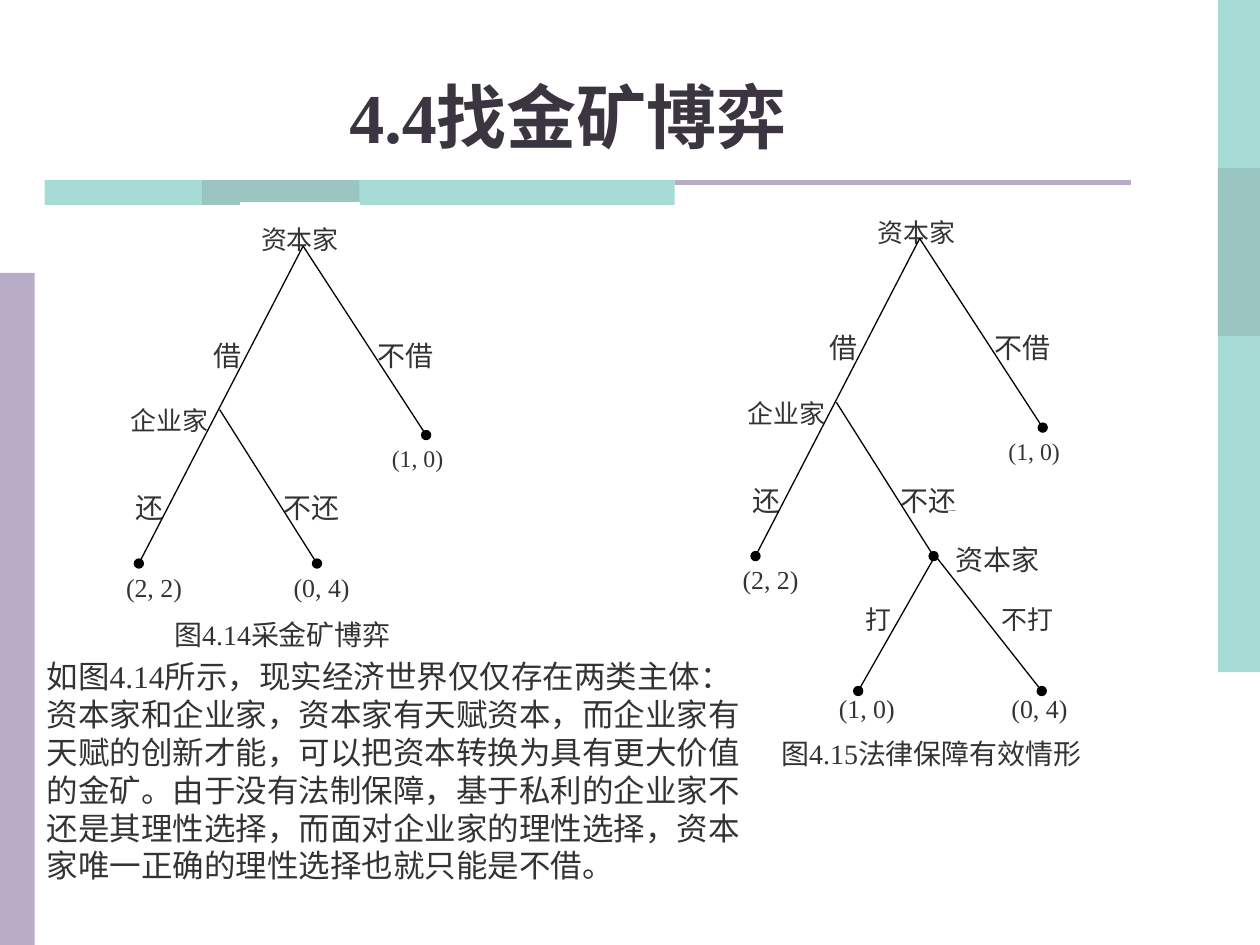
from dataclasses import dataclass

from pptx import Presentation
from pptx.dml.color import RGBColor
from pptx.enum.shapes import MSO_CONNECTOR, MSO_SHAPE
from pptx.enum.text import MSO_ANCHOR, MSO_AUTO_SIZE, PP_ALIGN
from pptx.oxml.ns import qn
from pptx.util import Cm, Pt
from lxml.etree import SubElement


@dataclass(frozen=True)
class Theme:
    teal: str = "51B9AF"
    dark_teal: str = "398D85"
    lilac: str = "B8ACC6"
    paper: str = "FFFFFF"
    ink: str = "333333"
    title_ink: str = "3A3541"
    edge: str = "000000"
    serif: str = "Times New Roman"
    caption_font: str = "TeX Gyre Bonum"
    body_font: str = "DejaVu Sans"
    title_size: float = 40
    body_size: float = 18
    move_size: float = 16
    player_size: float = 14.8
    small_size: float = 13.6
    hairline: float = 0.75


THEME = Theme()
LEFT, CENTER, RIGHT, JUSTIFY = (
    PP_ALIGN.LEFT, PP_ALIGN.CENTER, PP_ALIGN.RIGHT, PP_ALIGN.JUSTIFY)
# Line spacing that goes with each label size
SPACING = {THEME.move_size: 1.8, THEME.player_size: 1.7, THEME.small_size: 1.8}


def color(code):
    return RGBColor.from_string(code)


def add_span(para, text, size, font=THEME.serif, ink=THEME.ink, bold=False):
    span = para.add_run()
    span.text = text
    span.font.size = Pt(size)
    span.font.name = font
    span.font.bold = bold
    span.font.color.rgb = color(ink)


def add_block(canvas, left, top, width, height, fill, opacity=100):
    block = canvas.add_shape(
        MSO_SHAPE.RECTANGLE, Cm(left), Cm(top), Cm(width), Cm(height))
    block.shadow.inherit = False
    block.fill.solid()
    block.fill.fore_color.rgb = color(fill)
    block.line.fill.background()
    if opacity < 100:
        tint = block.fill._xPr.find(qn("a:solidFill")).find(qn("a:srgbClr"))
        SubElement(tint, qn("a:alpha")).set("val", str(opacity * 1000))
    return block


def add_label(canvas, left, top, width, height, text, size, align=CENTER, spacing=None):
    box = add_block(canvas, left, top, width, height, THEME.paper)
    box.line.color.rgb = color(THEME.paper)
    box.line.width = Pt(THEME.hairline)
    frame = box.text_frame
    frame.word_wrap = True
    frame.vertical_anchor = MSO_ANCHOR.TOP
    frame.margin_left = frame.margin_right = frame.margin_top = frame.margin_bottom = 0
    para = frame.paragraphs[0]
    para.alignment = align
    para.line_spacing = spacing or SPACING[size]
    add_span(para, text, size)


def add_branch(canvas, start_x, start_y, end_x, end_y):
    """Draw a game-tree edge with a dot at its far end."""
    edge = canvas.add_connector(
        MSO_CONNECTOR.STRAIGHT, Cm(start_x), Cm(start_y), Cm(end_x), Cm(end_y))
    edge.line.color.rgb = color(THEME.edge)
    edge.line.width = Pt(THEME.hairline)
    SubElement(edge.line._ln, qn("a:tailEnd")).set("type", "oval")
    SubElement(edge._element.spPr, qn("a:effectLst"))


def add_diagram(page, left, top, labels, branches):
    canvas = page.shapes.add_group_shape().shapes
    for x, y, width, height, *style in labels:
        add_label(canvas, left + x, top + y, width, height, *style)
    for x, y, end_x, end_y in branches:
        add_branch(canvas, left + x, top + y, left + end_x, top + end_y)


def add_lending_tree(page, left, top, default_payoff=None):
    move, player = THEME.move_size, THEME.player_size
    labels = [
        (0.1, 5.21, 1.78, 1.35, "还", move, CENTER, 1.9),
        (3.26, 5.21, 1.98, 1.35, "不还", move, CENTER, 1.9),
        (5.59, 2.21, 1.52, 1.17, "不借", move, JUSTIFY),
        (5.87, 4.42, 1.12, 1.07, "(1, 0)", THEME.small_size, JUSTIFY),
        (0, 3.65, 2.17, 1.07, "企业家", player, RIGHT),
        (0.29, 7.01, 1.57, 1.02, "(2, 2)", player),
        (0.47, 2.21, 2.36, 1.17, "借", move, RIGHT),
        (2.82, 0.01, 2.39, 1.07, "资本家", player),
    ]
    if default_payoff:
        labels.append((3.64, 7.01, 1.63, 1.04, default_payoff, player))
    add_diagram(page, left, top, labels, [
        (4.08, 0.89, 0.77, 7.29),
        (4.08, 0.89, 6.56, 4.7),
        (2.4, 4.19, 4.36, 7.29),
    ])


def add_lawsuit_tree(page, left, top):
    size = THEME.player_size
    add_diagram(page, left, top, [
        (0, 3.2, 1.63, 1.04, "(1, 0)", size),
        (3.48, 3.2, 1.63, 1.04, "(0, 4)", size),
        (2.46, 0, 1.98, 1.35, "资本家", THEME.move_size, CENTER, 1.9),
        (0.24, 1.42, 1.63, 1.04, "打", size),
        (3.24, 1.42, 1.63, 1.04, "不打", size),
    ], [
        (2.16, 0.94, 0.64, 3.61),
        (2.24, 0.94, 4.34, 3.61),
    ])


def add_side_bands(page):
    step = 3.387
    for row, fill in enumerate([THEME.teal, THEME.dark_teal, THEME.teal, THEME.teal]):
        add_block(page.shapes, 24.55, row * step, 0.85, step, fill, 50)
    add_block(page.shapes, 0, 5.5, 0.7, 13.55, THEME.lilac)


def add_title_rule(page, left, top):
    step = 3.175
    for column, fill in enumerate([THEME.teal, THEME.dark_teal, THEME.teal, THEME.teal]):
        add_block(page.shapes, left + column * step, top, step, 0.5, fill, 50)
    add_block(page.shapes, left + 4 * step, top, 9.2, 0.1, THEME.lilac)


def fill_title(page, left, top, width, height):
    title = page.shapes.title
    title.left, title.top, title.width, title.height = map(Cm, (left, top, width, height))
    frame = title.text_frame
    frame.auto_size = MSO_AUTO_SIZE.NONE
    frame.vertical_anchor = MSO_ANCHOR.BOTTOM
    para = frame.paragraphs[0]
    para.alignment = CENTER
    add_span(para, "4.4找金矿博弈", THEME.title_size, ink=THEME.title_ink, bold=True)


def add_text(page, left, top, width, height, spans, size, align=LEFT):
    box = page.shapes.add_textbox(Cm(left), Cm(top), Cm(width), Cm(height))
    frame = box.text_frame
    frame.word_wrap = True
    frame.auto_size = MSO_AUTO_SIZE.SHAPE_TO_FIT_TEXT
    para = frame.paragraphs[0]
    para.alignment = align
    # Punctuation must stay inside the right margin
    para._p.get_or_add_pPr().set("hangingPunct", "0")
    for text, font in spans:
        add_span(para, text, size, font)


def main():
    deck = Presentation()
    deck.slide_width, deck.slide_height = Cm(25.4), Cm(19.05)
    page = deck.slides.add_slide(deck.slide_layouts.get_by_name("Title Only"))
    add_side_bands(page)
    add_title_rule(page, 0.9, 3.63)
    fill_title(page, 0, 1.12, 22.9, 2.18)
    add_text(page, 2.8, 12.32, 5.79, 0.94, [
        ("图4.14采金矿", THEME.serif),
        ("博弈", THEME.caption_font),
    ], THEME.move_size, CENTER)
    add_lending_tree(page, 2.03, 4.07, default_payoff="(0, 4)")
    add_lending_tree(page, 14.46, 3.92)
    add_lawsuit_tree(page, 16.66, 10.32)
    add_text(page, 15.5, 14.73, 6.83, 0.94, [
        ("图4.15法律保障有效情形", THEME.serif),
    ], THEME.move_size)
    add_text(page, 0.69, 13.13, 14.53, 4.83, [
        ("如图4.14所示，现实经济世界仅仅存在两类主体：资本家和企业家，资本家有天赋资本，"
         "而企业家有天赋的创新才能，可以把资本转换为具有更大价值的金矿。", THEME.serif),
        ("由于没有法制保障，基于私利的企业家不还是其理性选择，而面对企业家的理性选择，"
         "资本家唯一正确的理性选择也就只能是不借。", THEME.body_font),
    ], THEME.body_size)
    deck.save("out.pptx")


if __name__ == "__main__":
    main()
